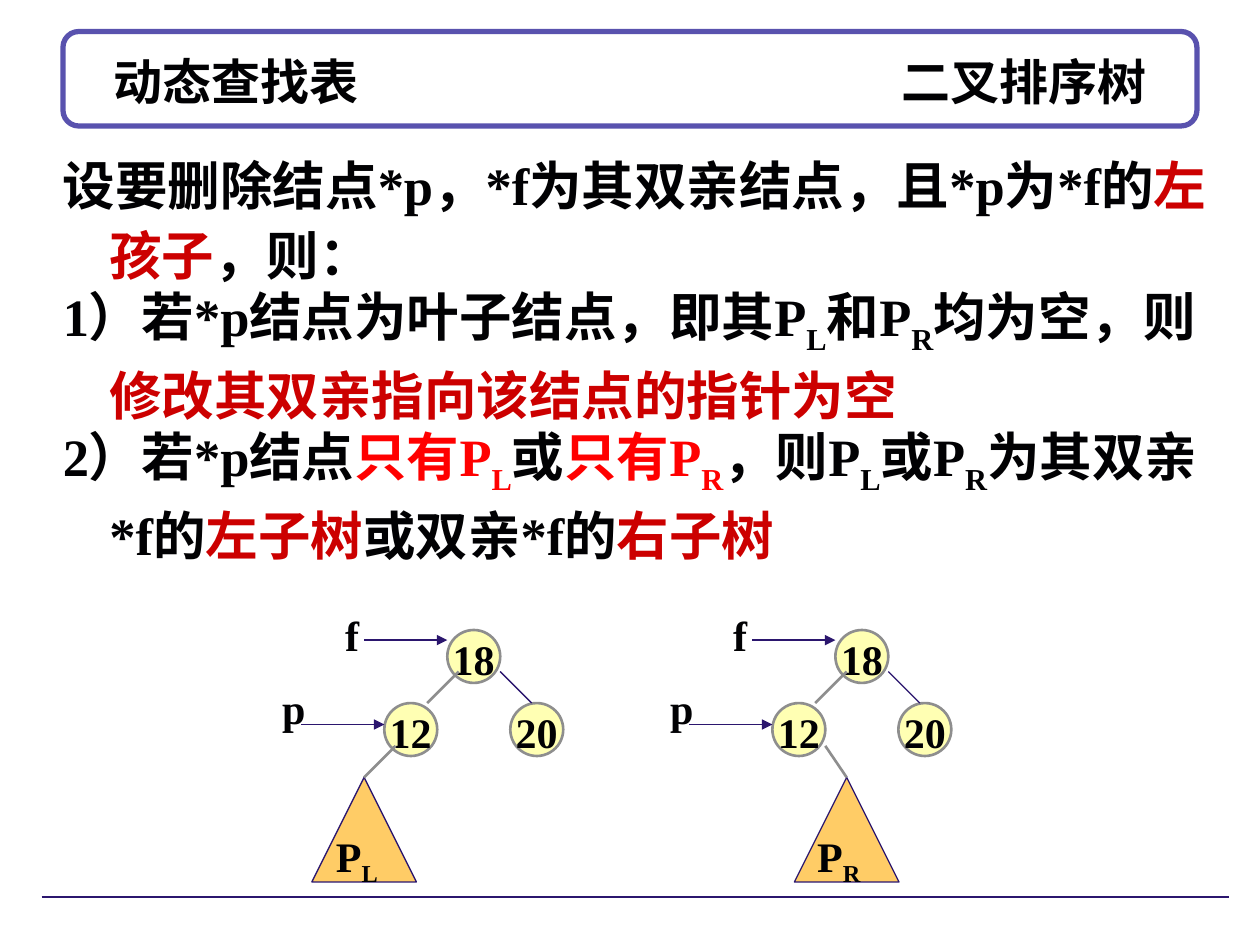
from lxml.etree import SubElement
from pptx import Presentation
from pptx.dml.color import RGBColor
from pptx.enum.shapes import MSO_CONNECTOR, MSO_SHAPE
from pptx.enum.text import MSO_ANCHOR, PP_ALIGN
from pptx.oxml.ns import qn
from pptx.util import Inches, Pt

INK = RGBColor(0x01, 0x01, 0x03)
WHITE = RGBColor(0xFF, 0xFF, 0xFF)
PURPLE = RGBColor(0x59, 0x52, 0xAE)
NAVY = RGBColor(0x2B, 0x16, 0x6E)
GRAY = RGBColor(0x8E, 0x8E, 0x8E)
CRIMSON = RGBColor(0xCC, 0x00, 0x00)
RED = RGBColor(0xFF, 0x00, 0x00)
YELLOW = RGBColor(0xFF, 0xFF, 0xB3)
ORANGE = RGBColor(0xFF, 0xCC, 0x66)

NODE_SIZE = 0.42
SUBTREE_SIZE = 0.83

# Each part is (text, colour); the letter after "_" is a subscript
RULES = [
    [("设要删除结点*p，*f为其双亲结点，且*p为*f的", INK), ("左孩子", CRIMSON),
     ("，则：", INK)],
    [("1）若*p结点为叶子结点，即其P_L和P_R均为空，则", INK),
     ("修改其双亲指向该结点的指针为空", CRIMSON)],
    [("2）若*p结点", INK), ("只有P_L", RED), ("或", INK), ("只有P_R", RED),
     ("，则P_L或P_R为其双亲*f的", INK), ("左子树", CRIMSON),
     ("或双亲*f的", INK), ("右子树", CRIMSON)],
]


class TreeSlide:
    font_name = "Times New Roman"

    def __init__(self, slide):
        self.slide = slide

    def add_run(self, paragraph, text, size, color, subscript=False):
        run = paragraph.add_run()
        run.text = text
        run.font.name = self.font_name
        run.font.size = Pt(size)
        run.font.bold = True
        run.font.color.rgb = color
        if subscript:
            run.font._element.set("baseline", "-25000")

    def add_parts(self, paragraph, parts, size):
        for text, color in parts:
            plain, *marked = text.split("_")
            self.add_run(paragraph, plain, size, color)
            for piece in marked:
                self.add_run(paragraph, piece[0], size, color, True)
                if piece[1:]:
                    self.add_run(paragraph, piece[1:], size, color)

    def text_box(self, left, top, width, height):
        box = self.slide.shapes.add_textbox(
            Inches(left), Inches(top), Inches(width), Inches(height))
        box.text_frame.word_wrap = True
        return box.text_frame

    def label(self, left, top, text):
        paragraph = self.text_box(left, top, 0.33, 0.54).paragraphs[0]
        paragraph.line_spacing = 1.1
        self.add_parts(paragraph, [(text, INK)], 24)

    def shape(self, kind, left, top, width, height, fill, line, weight):
        shape = self.slide.shapes.add_shape(
            kind, Inches(left), Inches(top), Inches(width), Inches(height))
        shape.shadow.inherit = False
        shape.fill.solid()
        shape.fill.fore_color.rgb = fill
        shape.line.color.rgb = line
        shape.line.width = Pt(weight)
        return shape

    def caption(self, shape, text, alignment):
        frame = shape.text_frame
        frame.word_wrap = False
        frame.vertical_anchor = MSO_ANCHOR.MIDDLE
        paragraph = frame.paragraphs[0]
        paragraph.alignment = alignment
        paragraph.line_spacing = 1.1
        self.add_parts(paragraph, [(text, INK)], 24)

    def node(self, left, top, key):
        circle = self.shape(MSO_SHAPE.OVAL, left, top, NODE_SIZE, NODE_SIZE,
                            YELLOW, GRAY, 1.5)
        self.caption(circle, key, PP_ALIGN.CENTER)

    def subtree(self, apex, top, name):
        triangle = self.shape(MSO_SHAPE.ISOSCELES_TRIANGLE,
                              apex - SUBTREE_SIZE / 2, top,
                              SUBTREE_SIZE, SUBTREE_SIZE, ORANGE, NAVY, 0.75)
        self.caption(triangle, name, PP_ALIGN.RIGHT)

    def line(self, x1, y1, x2, y2, color=NAVY, weight=0.75, arrow=False):
        connector = self.slide.shapes.add_connector(
            MSO_CONNECTOR.STRAIGHT,
            Inches(x1), Inches(y1), Inches(x2), Inches(y2))
        connector.line.color.rgb = color
        connector.line.width = Pt(weight)
        if arrow:
            SubElement(connector.line._get_or_add_ln(), qn("a:tailEnd"),
                       type="triangle")
        SubElement(connector._element.spPr, qn("a:effectLst"))

    def pointer(self, left, label_top, arrow_y, name):
        self.label(left, label_top, name)
        self.line(left + 0.25, arrow_y, left + 0.91, arrow_y, arrow=True)

    def tree(self, left, subtree_name, edge_start, apex):
        # Nodes
        self.node(left + 1.41, 5, "18")
        self.node(left + 0.91, 5.58, "12")
        self.node(left + 1.91, 5.58, "20")
        self.subtree(left + apex, 6.17, subtree_name)
        # Edges
        self.line(left + 1.5, 5.33, left + 1.25, 5.58, GRAY, 1.5)
        self.line(left + 1.83, 5.33, left + 2.08, 5.58)
        self.line(left + edge_start, 5.92, left + apex, 6.17, GRAY, 1.5)
        # Pointers to the parent and the deleted node
        self.pointer(left + 0.5, 4.75, 5.08, "f")
        self.pointer(left, 5.33, 5.75, "p")

    def header(self, topic, subject):
        frame_box = self.shape(MSO_SHAPE.ROUNDED_RECTANGLE, 0.5, 0.25, 9, 0.75,
                               WHITE, PURPLE, 3)
        frame_box.adjustments[0] = 0.167
        frame = self.text_box(0.5, 0.33, 9, 0.62)
        frame.margin_left = Inches(0.4)
        frame.vertical_anchor = MSO_ANCHOR.MIDDLE
        paragraph = frame.paragraphs[0]
        tabs = SubElement(paragraph._p.get_or_add_pPr(), qn("a:tabLst"))
        SubElement(tabs, qn("a:tab"), pos=str(Inches(8.2)), algn="r")
        self.add_parts(paragraph, [(f"{topic}\t{subject}", INK)], 28)

    def rules(self, rules):
        frame = self.text_box(0.4, 1.11, 9.33, 3.51)
        for index, parts in enumerate(rules):
            paragraph = frame.add_paragraph() if index else frame.paragraphs[0]
            properties = paragraph._p.get_or_add_pPr()
            properties.set("marL", str(Inches(0.37)))
            properties.set("indent", str(-Inches(0.37)))
            paragraph.line_spacing = Pt(40)
            self.add_parts(paragraph, parts, 30)


def main():
    presentation = Presentation()
    presentation.slide_width = Inches(10)
    presentation.slide_height = Inches(7.5)
    page = TreeSlide(
        presentation.slides.add_slide(presentation.slide_layouts[6]))

    # Header and footer rule
    page.header("动态查找表", "二叉排序树")
    page.line(0.33, 7.12, 9.75, 7.12)

    # Deletion rules
    page.rules(RULES)

    # Trees with only a left or only a right subtree
    page.tree(2.14, "P_L", edge_start=1, apex=0.75)
    page.tree(5.22, "P_R", edge_start=1.33, apex=1.5)

    presentation.save("out.pptx")


if __name__ == "__main__":
    main()
